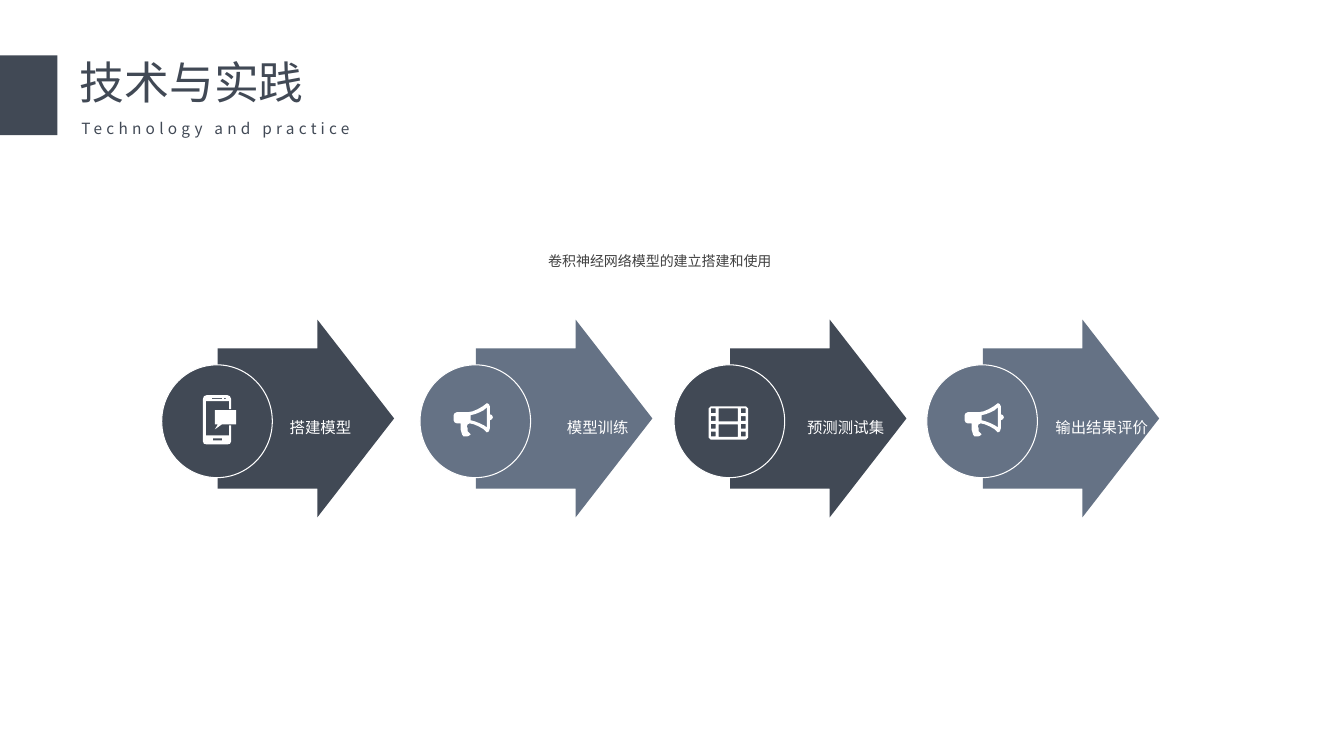
from pptx import Presentation
from pptx.dml.color import RGBColor
from pptx.enum.shapes import MSO_SHAPE
from pptx.enum.text import MSO_ANCHOR, PP_ALIGN
from pptx.oxml.ns import qn
from pptx.util import Pt

RECTANGLE, ARROW, OVAL = MSO_SHAPE.RECTANGLE, MSO_SHAPE.RIGHT_ARROW, MSO_SHAPE.OVAL
LEFT, CENTER, TOP = PP_ALIGN.LEFT, PP_ALIGN.CENTER, MSO_ANCHOR.TOP
SLATE = RGBColor(0x41, 0x49, 0x55)
STEEL = RGBColor(0x65, 0x72, 0x85)
GRAY = RGBColor(0x40, 0x40, 0x40)
WHITE = RGBColor(0xFF, 0xFF, 0xFF)
FONT = "Noto Sans CJK SC"
TITLE_ONLY = 5
UNITS_PER_POINT = 100


def rectangle_outline(left, top, right, bottom):
    return [(left, top), (right, top), (right, bottom), (left, bottom)]


# Icon outlines in points; inner outlines cut holes
PHONE = [
    [(18.7, 28.8), (2.2, 28.8), (2.2, 4.3), (18.7, 4.3), (18.7, 10.1), (20.2, 10.1),
     (20.2, 2.9), (19.3, 0.8), (17.3, 0), (2.9, 0), (0.8, 0.8), (0, 2.9), (0, 33.1),
     (0.8, 34.8), (2.9, 35.3), (17.3, 35.3), (19.3, 34.8), (20.2, 33.1),
     (20.2, 21.6), (18.7, 21.6)],
    rectangle_outline(6.5, 2.2, 13.7, 2.9),
    rectangle_outline(15.1, 2.2, 16.5, 2.9),
    rectangle_outline(7.2, 31, 13.7, 32.4),
]
BUBBLE = [[(8.6, 20.9), (10.8, 20.9), (8.6, 24.5), (13.7, 20.9), (23.8, 20.9),
           (23.8, 10.8), (8.6, 10.8)]]
MEGAPHONE = [
    [(28.1, 10.1), (27.4, 11.5), (25.9, 12.2), (25.9, 18), (25.2, 20.2), (23.8, 20.9),
     (21.6, 18.7), (18, 16.6), (14.4, 15.1), (11.5, 14.4), (10.1, 15.1), (9.4, 16.6),
     (10.1, 18), (10.1, 20.2), (12.2, 22.3), (10.8, 23.4), (9.4, 23.8), (7.2, 23.8),
     (6.1, 22.5), (5, 18.7), (5, 14.4), (2.2, 14.4), (0.7, 13.7), (0, 12.2), (0, 8.6),
     (0.7, 7.2), (2.2, 6.5), (10.1, 6.5), (13.7, 5.8), (17.3, 4.3), (20.9, 2.2),
     (23.8, 0), (25.2, 0.7), (25.9, 2.2), (25.9, 7.9), (27.4, 8.6)],
    [(23.8, 2.9), (21.6, 5), (18.7, 6.5), (15.1, 7.9), (12.2, 8.6), (12.2, 12.2),
     (15.1, 13), (18.7, 14.4), (21.6, 15.8), (23.8, 17.3)],
]
FILM = [
    [(1.5, 0), (26.6, 0), (28.1, 1.5), (28.1, 22.3), (26.6, 23.8), (1.5, 23.8),
     (0, 22.3), (0, 1.5)],
    rectangle_outline(7.2, 1.6, 20.9, 10.8),
    rectangle_outline(7.2, 13, 20.9, 21.8),
] + [rectangle_outline(x, 1.6 + 5.5 * row, x + 3.4, 5 + 5.5 * row)
     for x in (1.6, 23) for row in range(4)]


class SlideBuilder:
    """Holds the font and the current page."""

    def __init__(self, page, font):
        self.page = page
        self.font = font

    def set_text(self, box, text, size, color, align=LEFT, line_spacing=1.0,
                 margins=(7.2, 3.6), tracking=0):
        frame = box.text_frame
        frame.text = text
        frame.word_wrap = True
        frame.vertical_anchor = TOP
        frame.margin_left = frame.margin_right = Pt(margins[0])
        frame.margin_top = frame.margin_bottom = Pt(margins[1])
        para = frame.paragraphs[0]
        para.alignment = align
        para.line_spacing = line_spacing
        span = para.runs[0]
        span.font.size = Pt(size)
        span.font.name = self.font
        span.font.color.rgb = color
        properties = span.font._element
        east_asian = properties.makeelement(qn("a:ea"), {"typeface": self.font})
        properties.find(qn("a:latin")).addnext(east_asian)
        if tracking:
            properties.set("spc", str(tracking * 100))

    def title(self, left, top, width, height, text, size, color):
        box = self.page.shapes.title
        box.left, box.top, box.width, box.height = Pt(left), Pt(top), Pt(width), Pt(height)
        self.set_text(box, text, size, color)

    def text(self, left, top, width, height, text, size, color, **style):
        box = self.page.shapes.add_textbox(Pt(left), Pt(top), Pt(width), Pt(height))
        self.set_text(box, text, size, color, **style)

    def paint(self, shape, color, line=None):
        shape.shadow.inherit = False
        shape.fill.solid()
        shape.fill.fore_color.rgb = color
        if line is None:
            shape.line.fill.background()
        else:
            shape.line.color.rgb = line
            shape.line.width = Pt(0.75)

    def shape(self, kind, left, top, width, height, color, line=None, adjustments=()):
        shape = self.page.shapes.add_shape(kind, Pt(left), Pt(top), Pt(width), Pt(height))
        for index, value in enumerate(adjustments):
            shape.adjustments[index] = value
        self.paint(shape, color, line)

    def icon(self, left, top, outlines, color):
        scaled = [[(x * UNITS_PER_POINT, y * UNITS_PER_POINT) for x, y in outline]
                  for outline in outlines]
        builder = self.page.shapes.build_freeform(*scaled[0][0], scale=Pt(1) / UNITS_PER_POINT)
        builder.add_line_segments(scaled[0][1:])
        for hole in scaled[1:]:
            builder.move_to(*hole[0])
            builder.add_line_segments(hole[1:])
        self.paint(builder.convert_to_shape(Pt(left), Pt(top)), color)


def main():
    deck = Presentation()
    deck.slide_width, deck.slide_height = Pt(960), Pt(540)
    page = deck.slides.add_slide(deck.slide_layouts[TITLE_ONLY])
    builder = SlideBuilder(page, FONT)

    # Heading
    builder.shape(RECTANGLE, 0, 39.6, 41, 57, SLATE)
    builder.title(49.7, 35.3, 270, 46, "技术与实践", 32, SLATE)
    builder.text(51.1, 74.9, 310, 24.5, "Technology and practice", 11, SLATE,
                 line_spacing=1.5, tracking=3)

    # Caption
    builder.text(121, 170.6, 700.5, 25, "卷积神经网络模型的建立搭建和使用", 10, GRAY,
                 align=CENTER, line_spacing=1.5)

    # Steps: arrow left, colour, label, label left, icon left, icon top, icon parts
    steps = [
        (155.5, SLATE, "搭建模型", 171.4, 144.9, 282.2, [PHONE, BUBBLE]),
        (340, STEEL, "模型训练", 369.4, 324, 288, [MEGAPHONE]),
        (521.5, SLATE, "预测测试集", 546.5, 506.2, 290.2, [FILM]),
        (702, STEEL, "输出结果评价", 729.4, 689, 288, [MEGAPHONE]),
    ]
    for left, color, label, label_left, icon_left, icon_top, parts in steps:
        builder.shape(ARROW, left, 228.3, 126, 141.2, color, adjustments=(0.71, 0.435))
        builder.shape(OVAL, left - 40, 260.6, 79, 80.6, color, line=WHITE)
        for part in parts:
            builder.icon(icon_left, icon_top, part, WHITE)
        builder.text(label_left, 287.3, 115.2, 20, label, 11, WHITE, align=CENTER,
                     line_spacing=1.5, margins=(9.4, 5))

    deck.save("out.pptx")


if __name__ == "__main__":
    main()
